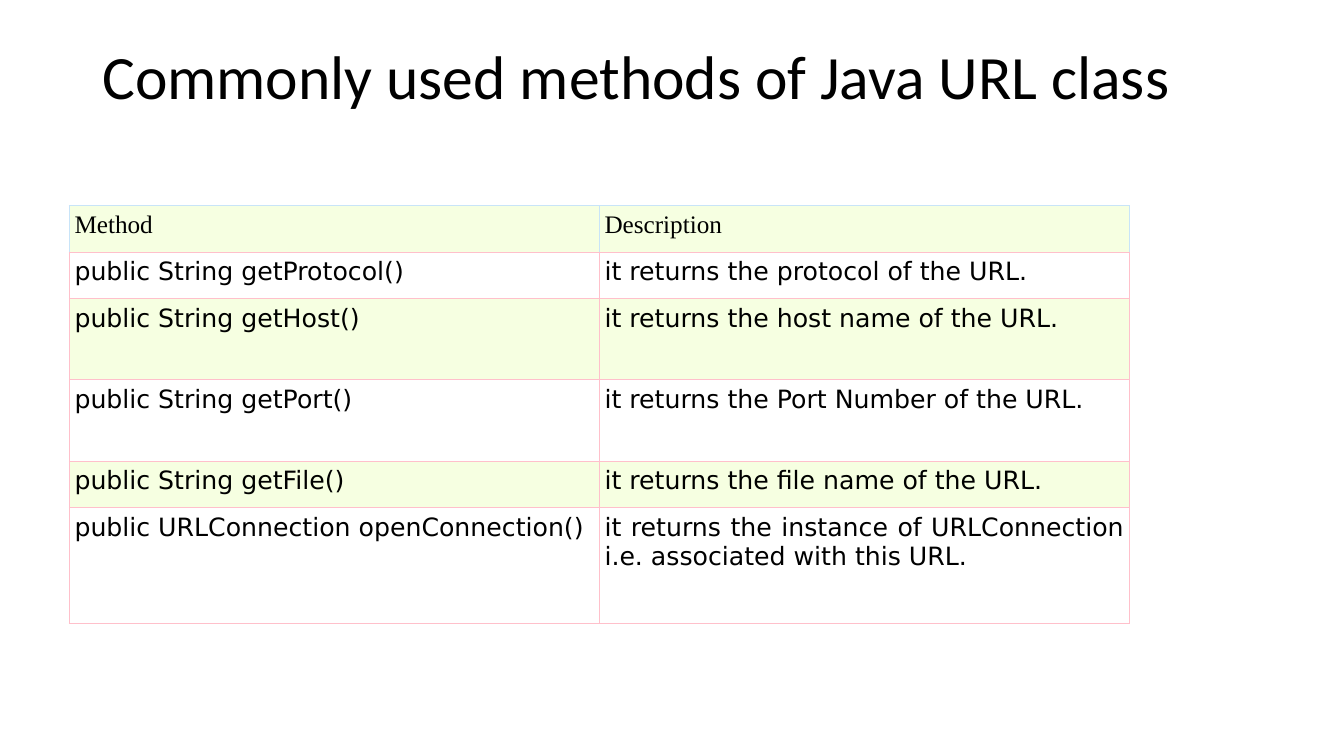
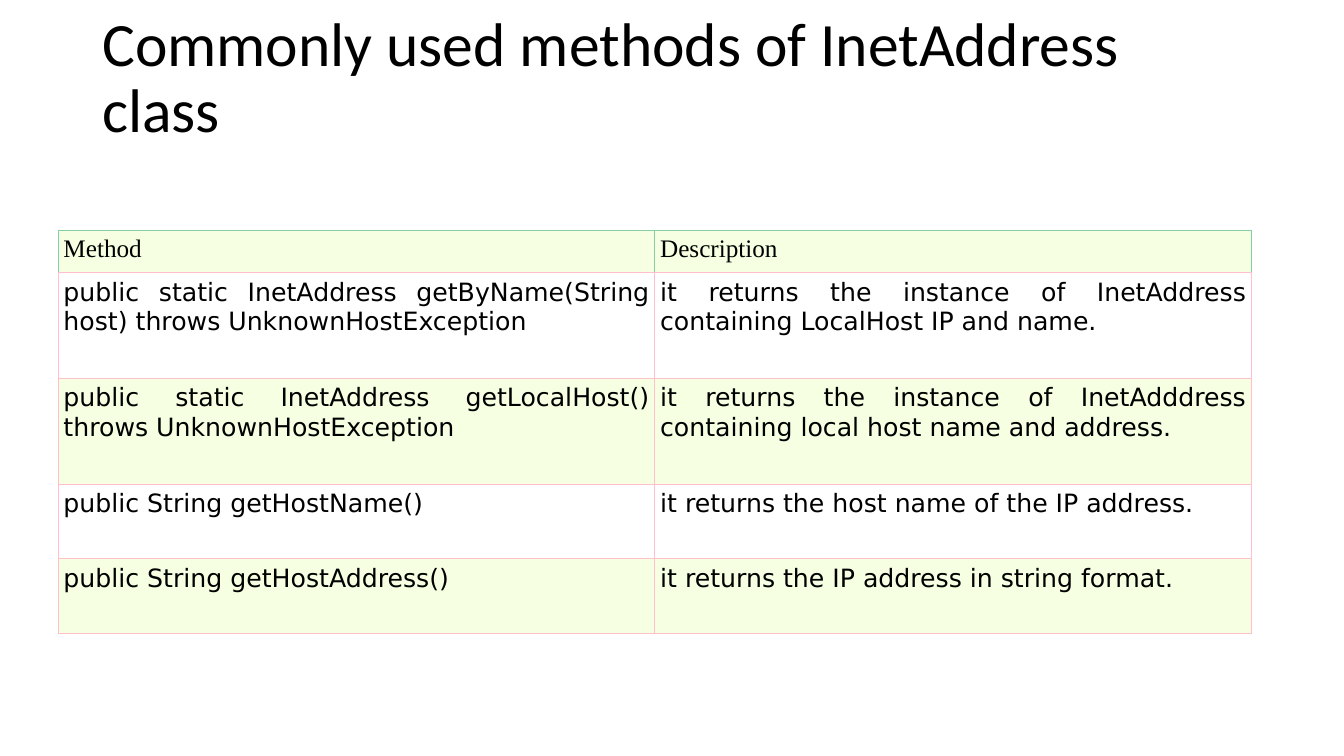
from dataclasses import dataclass

from lxml import etree
from pptx import Presentation
from pptx.dml.color import RGBColor
from pptx.enum.text import MSO_ANCHOR, PP_ALIGN
from pptx.oxml.ns import qn
from pptx.util import Pt

LEFT, JUSTIFY = PP_ALIGN.LEFT, PP_ALIGN.JUSTIFY
TOP, MIDDLE = MSO_ANCHOR.TOP, MSO_ANCHOR.MIDDLE

# Shared look
COLORS = {
    "text": "000000",
    "band": "F6FFE1",
    "plain": "FFFFFF",
    "grid": "FFC0CB",
    "head_blue": "C8E4F8",
    "head_green": "88CFA5",
}
TITLE_FONT, HEAD_FONT, BODY_FONT = "Calibri", "Times New Roman", "DejaVu Sans"
TITLE_SIZE, CELL_SIZE = 44, 18
TITLE_LINE = 48.3
CELL_INSET = 3.75
GRID_WIDTH = 0.75
HEADER = ("Method", "Description")


@dataclass(frozen=True)
class MethodSlide:
    title: str
    left: float
    top: float
    col_width: float
    row_heights: tuple[float, ...]
    head_line: str
    methods: tuple[tuple[str, str], ...]


SLIDES = (
    MethodSlide(
        "Commonly used methods of Java URL class",
        49.5, 146.8, 378.6, (33.3, 33.3, 58, 58, 33.3, 83), "head_blue",
        (
            ("public String getProtocol()", "it returns the protocol of the URL."),
            ("public String getHost()", "it returns the host name of the URL."),
            ("public String getPort()", "it returns the Port Number of the URL."),
            ("public String getFile()", "it returns the file name of the URL."),
            ("public URLConnection openConnection()",
             "it returns the instance of URLConnection i.e. associated with this URL."),
        ),
    ),
    MethodSlide(
        "Commonly used methods of InetAddress class",
        41.6, 164.4, 426.2, (30.2, 75.6, 75.6, 53.3, 53.3), "head_green",
        (
            ("public static InetAddress getByName(String host) throws UnknownHostException",
             "it returns the instance of InetAddress containing LocalHost IP and name."),
            ("public static InetAddress getLocalHost() throws UnknownHostException",
             "it returns the instance of InetAdddress containing local host name and address."),
            ("public String getHostName()", "it returns the host name of the IP address."),
            ("public String getHostAddress()", "it returns the IP address in string format."),
        ),
    ),
)


def write(tf, text: str, *, font: str, size: float, align=LEFT, spacing: float = 1.0) -> None:
    tf.word_wrap = True
    p = tf.paragraphs[0]
    p.alignment, p.line_spacing = align, spacing
    r = p.add_run()
    r.text = text
    r.font.name, r.font.size = font, Pt(size)
    r.font.color.rgb = RGBColor.from_string(COLORS["text"])


def set_borders(cell, sides: dict[str, str]) -> None:
    """Draw cell borders; sides maps L, R, T and B to colour names."""
    tc_pr = cell._tc.get_or_add_tcPr()
    for i, side in enumerate("LRTB"):
        ln = etree.Element(qn(f"a:ln{side}"), w=str(Pt(GRID_WIDTH)))
        fill = etree.SubElement(ln, qn("a:solidFill"))
        etree.SubElement(fill, qn("a:srgbClr"), val=COLORS[sides[side]])
        tc_pr.insert(i, ln)


def add_title(s, text: str) -> None:
    sp = s.shapes.add_textbox(Pt(66), Pt(28.8), Pt(828), Pt(104.4))
    tf = sp.text_frame
    tf.vertical_anchor = MIDDLE
    # One line of room stays free under the title
    tf.margin_bottom = Pt(3.6 + TITLE_LINE)
    write(tf, text, font=TITLE_FONT, size=TITLE_SIZE, spacing=0.9)


def add_method_table(s, data: MethodSlide) -> None:
    rows = (HEADER, *data.methods)
    frame = s.shapes.add_table(
        len(rows), len(HEADER), Pt(data.left), Pt(data.top),
        Pt(data.col_width * len(HEADER)), Pt(sum(data.row_heights)))
    table = frame.table
    table.first_row = table.horz_banding = False
    for col in table.columns:
        col.width = Pt(data.col_width)
    for i, (texts, height) in enumerate(zip(rows, data.row_heights)):
        table.rows[i].height = Pt(height)
        is_head = i == 0
        line = data.head_line if is_head else "grid"
        for j, text in enumerate(texts):
            cell = table.cell(i, j)
            cell.margin_left = cell.margin_right = Pt(CELL_INSET)
            cell.margin_top = cell.margin_bottom = Pt(CELL_INSET)
            cell.vertical_anchor = TOP
            cell.fill.solid()
            cell.fill.fore_color.rgb = RGBColor.from_string(COLORS["plain" if i % 2 else "band"])
            set_borders(cell, {"L": line, "R": line, "T": line, "B": "grid"})
            write(cell.text_frame, text, size=CELL_SIZE,
                  font=HEAD_FONT if is_head else BODY_FONT,
                  align=LEFT if is_head else JUSTIFY)


def main() -> None:
    prs = Presentation()
    prs.slide_width, prs.slide_height = Pt(960), Pt(540)
    for data in SLIDES:
        s = prs.slides.add_slide(prs.slide_layouts[6])
        add_title(s, data.title)
        add_method_table(s, data)
    prs.save("out.pptx")


if __name__ == "__main__":
    main()
